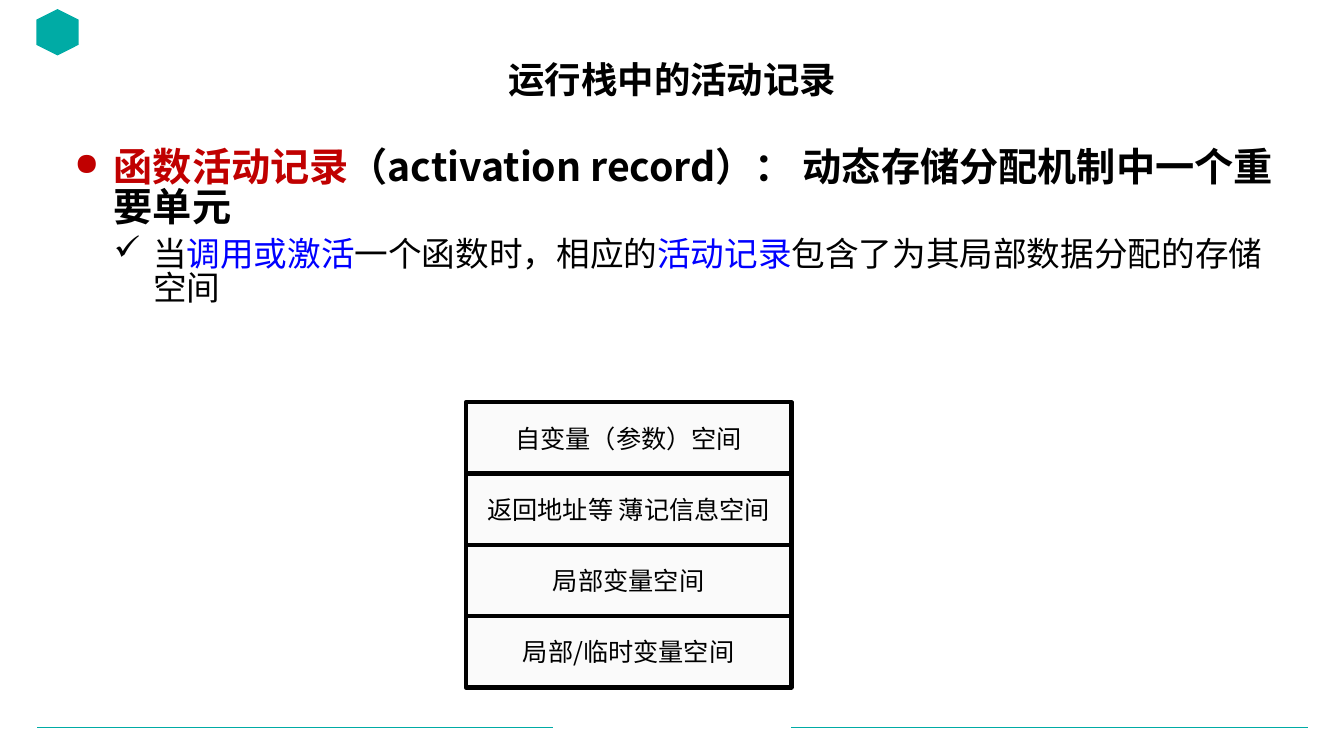
from lxml import etree
from pptx import Presentation
from pptx.dml.color import RGBColor
from pptx.enum import shapes, text
from pptx.oxml import ns
from pptx.util import Inches, Pt

FONT = "Noto Sans CJK SC"
BLACK, RED, BLUE, TEAL = "000000", "C00000", "0000FF", "00ABA5"


def rgb(color):
    return RGBColor.from_string(color)


def add_run(paragraph, content, size, color=BLACK, bold=False):
    """Add a run whose Latin and East Asian text share one font."""
    run = paragraph.add_run()
    run.text = content
    run.font.size = Pt(size)
    run.font.bold = bold
    run.font.color.rgb = rgb(color)
    run.font.name = FONT
    etree.SubElement(run.font._element, ns.qn("a:ea"), typeface=FONT)


presentation = Presentation()
presentation.slide_width = Inches(13.33)
presentation.slide_height = Inches(7.5)
slide = presentation.slides.add_slide(presentation.slide_layouts[6])

# Footer rules
for start, end in [(0.37, 5.48), (7.85, 12.97)]:
    rule = slide.shapes.add_connector(
        shapes.MSO_CONNECTOR.STRAIGHT, Inches(start), Inches(7.22), Inches(end), Inches(7.22)
    )
    rule.line.color.rgb = rgb(TEAL)
    rule.line.width = Pt(0.5)
    etree.SubElement(rule._element.spPr, ns.qn("a:effectLst"))

# Corner mark
mark = slide.shapes.add_shape(
    shapes.MSO_SHAPE.HEXAGON, Inches(0.34), Inches(0.11), Inches(0.46), Inches(0.42)
)
mark.rotation = 90
mark.shadow.inherit = False
mark.fill.solid()
mark.fill.fore_color.rgb = rgb(TEAL)
mark.line.fill.background()

# Title
title = slide.shapes.add_textbox(Inches(0.92), Inches(0.62), Inches(11.5), Inches(0.57))
title.text_frame.word_wrap = True
title.text_frame.margin_top = 0
paragraph = title.text_frame.paragraphs[0]
paragraph.alignment = text.PP_ALIGN.CENTER
paragraph.line_spacing = 0.9
add_run(paragraph, "运行栈中的活动记录", 26, bold=True)

# Bulleted body: bullet, bullet size, level, text size, bold, runs
points = [
    ("●", 80, 0, 28, True, [
        ("函数活动记录", RED),
        ("（activation record）： 动态存储分配机制中一个重要单元", BLACK),
    ]),
    ("✓", 100, 1, 24, False, [
        ("当", BLACK),
        ("调用或激活", BLUE),
        ("一个函数时，相应的", BLACK),
        ("活动记录", BLUE),
        ("包含了为其局部数据分配的存储空间", BLACK),
    ]),
]
body = slide.shapes.add_textbox(Inches(0.64), Inches(1.4), Inches(12.09), Inches(5.53))
frame = body.text_frame
frame.word_wrap = True
frame.margin_top = Inches(0.08)
for index, (bullet, bullet_size, level, size, bold, runs) in enumerate(points):
    paragraph = frame.add_paragraph() if index else frame.paragraphs[0]
    paragraph.level = level
    paragraph.line_spacing = 0.86
    if index:
        paragraph.space_before = Pt(6)
    properties = paragraph._element.get_or_add_pPr()
    properties.set("marL", str(Inches(0.39 * (level + 1))))
    properties.set("indent", str(Inches(-0.39)))
    etree.SubElement(properties, ns.qn("a:buSzPct"), val=str(bullet_size * 1000))
    etree.SubElement(properties, ns.qn("a:buChar"), char=bullet)
    for content, color in runs:
        add_run(paragraph, content, size, color, bold)

# Activation record, from top to bottom
record_parts = [
    "自变量（参数）空间",
    "返回地址等 薄记信息空间",
    "局部变量空间",
    "局部/临时变量空间",
]
for row, content in enumerate(record_parts):
    part = slide.shapes.add_shape(
        shapes.MSO_SHAPE.RECTANGLE,
        Inches(4.62), Inches(3.99 + 0.707 * row), Inches(3.23), Inches(0.71),
    )
    part.shadow.inherit = False
    part.fill.solid()
    part.fill.fore_color.rgb = rgb("FAFAFA")
    part.line.color.rgb = rgb(BLACK)
    part.line.width = Pt(3)
    part.text_frame.word_wrap = True
    part.text_frame.vertical_anchor = text.MSO_ANCHOR.MIDDLE
    paragraph = part.text_frame.paragraphs[0]
    paragraph.alignment = text.PP_ALIGN.CENTER
    add_run(paragraph, content, 18)

presentation.save("out.pptx")
